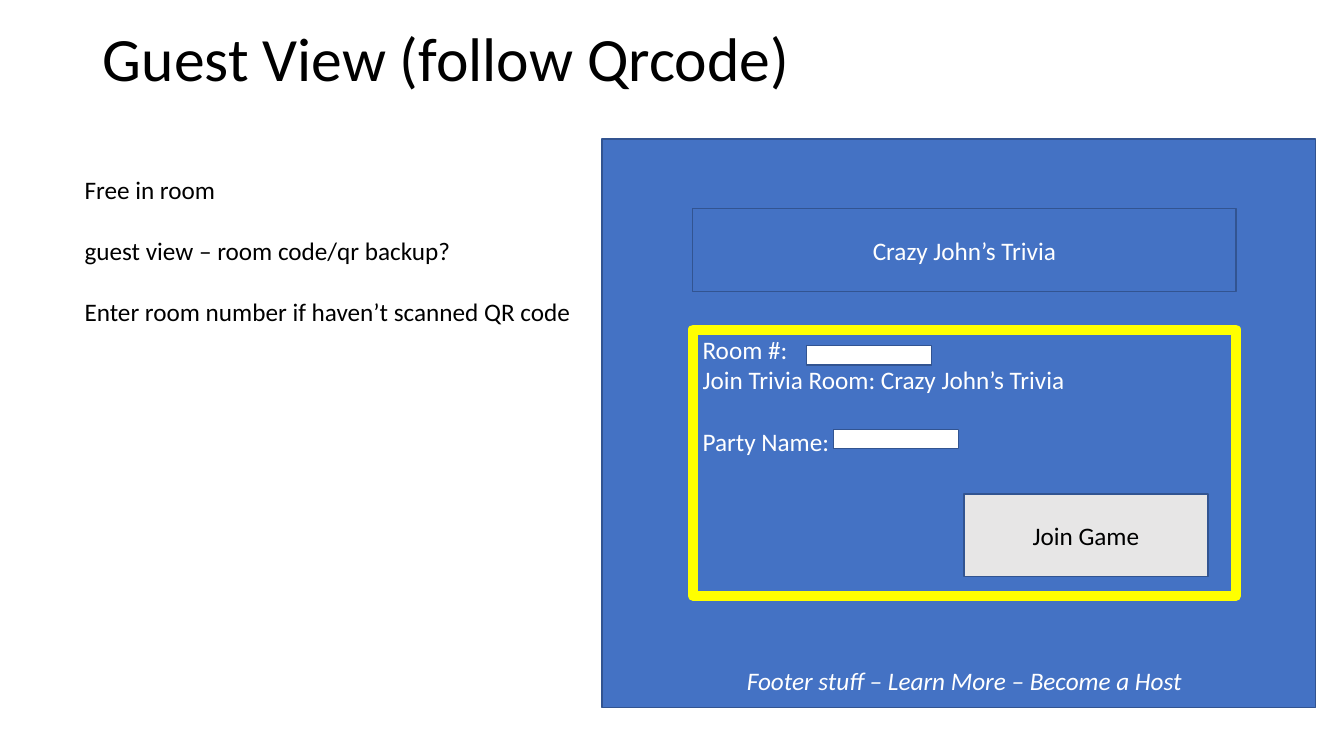
import pptx
import pptx.util
import pptx.dml.color
import pptx.enum.shapes
import pptx.enum.text
from dataclasses import dataclass

PX = 9144  # EMU per px, at 100 px to the inch
ALIGN = pptx.enum.text.PP_ALIGN
ANCHOR = pptx.enum.text.MSO_ANCHOR
AUTO_SIZE = pptx.enum.text.MSO_AUTO_SIZE


@dataclass(frozen=True)
class Theme:
    font: str = "Calibri"
    title_size: int = 44
    body_size: int = 18
    gap: int = 22  # one empty line of body text, in points
    blue: str = "4472C4"
    edge: str = "325491"
    highlight: str = "FFFF00"
    button: str = "E7E6E6"
    white: str = "FFFFFF"
    black: str = "000000"
    thin: float = 1
    thick: float = 7.25


THEME = Theme()


def rgb(value):
    return pptx.dml.color.RGBColor.from_string(value)


def emu(*lengths):
    return [length * PX for length in lengths]


def add_text(para, text, size, color, italic=False):
    span = para.add_run()
    span.text = text
    span.font.name = THEME.font
    span.font.size = pptx.util.Pt(size)
    span.font.color.rgb = rgb(color)
    if italic:
        span.font.italic = True


def write_lines(frame, lines, color, align=ALIGN.LEFT, italic=False):
    """Write (text, space before) pairs as paragraphs."""
    for index, (text, space) in enumerate(lines):
        para = frame.add_paragraph() if index else frame.paragraphs[0]
        para.alignment = align
        if space:
            para.space_before = pptx.util.Pt(space)
        add_text(para, text, THEME.body_size, color, italic)


def add_title(page, text, area):
    title = page.shapes.title
    title.left, title.top, title.width, title.height = emu(*area)
    frame = title.text_frame
    frame.auto_size = AUTO_SIZE.NONE
    frame.vertical_anchor = ANCHOR.MIDDLE
    para = frame.paragraphs[0]
    para.alignment = ALIGN.LEFT
    para.line_spacing = 0.9
    add_text(para, text, THEME.title_size, THEME.black)


def add_box(page, area, fill=THEME.blue, line=THEME.edge, width=THEME.thin):
    box = page.shapes.add_shape(
        pptx.enum.shapes.MSO_SHAPE.RECTANGLE, *emu(*area))
    box.shadow.inherit = False
    box.fill.solid()
    box.fill.fore_color.rgb = rgb(fill)
    if line:
        box.line.color.rgb = rgb(line)
        box.line.width = pptx.util.Pt(width)
    else:
        box.line.fill.background()
    return box


def add_label(box, text, color=THEME.white, italic=False):
    box.text_frame.vertical_anchor = ANCHOR.MIDDLE
    write_lines(box.text_frame, [(text, 0)], color, ALIGN.CENTER, italic)


def add_notes_text(page, area, lines):
    box = page.shapes.add_textbox(*emu(*area))
    box.text_frame.word_wrap = False
    box.text_frame.auto_size = AUTO_SIZE.SHAPE_TO_FIT_TEXT
    write_lines(box.text_frame, lines, THEME.black)


def main():
    deck = pptx.Presentation()
    deck.slide_width, deck.slide_height = emu(1333, 750)
    page = deck.slides.add_slide(deck.slide_layouts[5])
    add_title(page, "Guest View (follow Qrcode)", (92, 0, 1150, 122))

    # Guest screen with its header
    left, width = 687, 539
    add_box(page, (597, 138, 708, 564))
    add_label(add_box(page, (left, 207, width, 82)), "Crazy John’s Trivia")

    # Highlighted join form
    form = add_box(page, (left, 327, width, 264),
                   line=THEME.highlight, width=THEME.thick)
    form.text_frame.vertical_anchor = ANCHOR.TOP
    write_lines(form.text_frame, [
        ("Room #:", 0),
        ("Join Trivia Room: Crazy John’s Trivia", 0),
        ("Party Name:", THEME.gap),
    ], THEME.white)

    # Screen footer
    footer = add_box(page, (left, 655, width, 41), line=None)
    add_label(footer, "Footer stuff – Learn More – Become a Host", italic=True)

    # Remarks beside the screen
    add_notes_text(page, (74, 168, 508, 162), [
        ("Free in room", 0),
        ("guest view – room code/qr backup?", THEME.gap),
        ("Enter room number if haven’t scanned QR code", THEME.gap),
    ])

    # Join button and the two entry fields
    button = add_box(page, (956, 490, 242, 82), fill=THEME.button)
    add_label(button, "Join Game", THEME.black)
    for field_left, field_top in ((800, 343), (827, 426)):
        add_box(page, (field_left, field_top, 124, 19), fill=THEME.white)

    deck.save("out.pptx")


if __name__ == "__main__":
    main()
